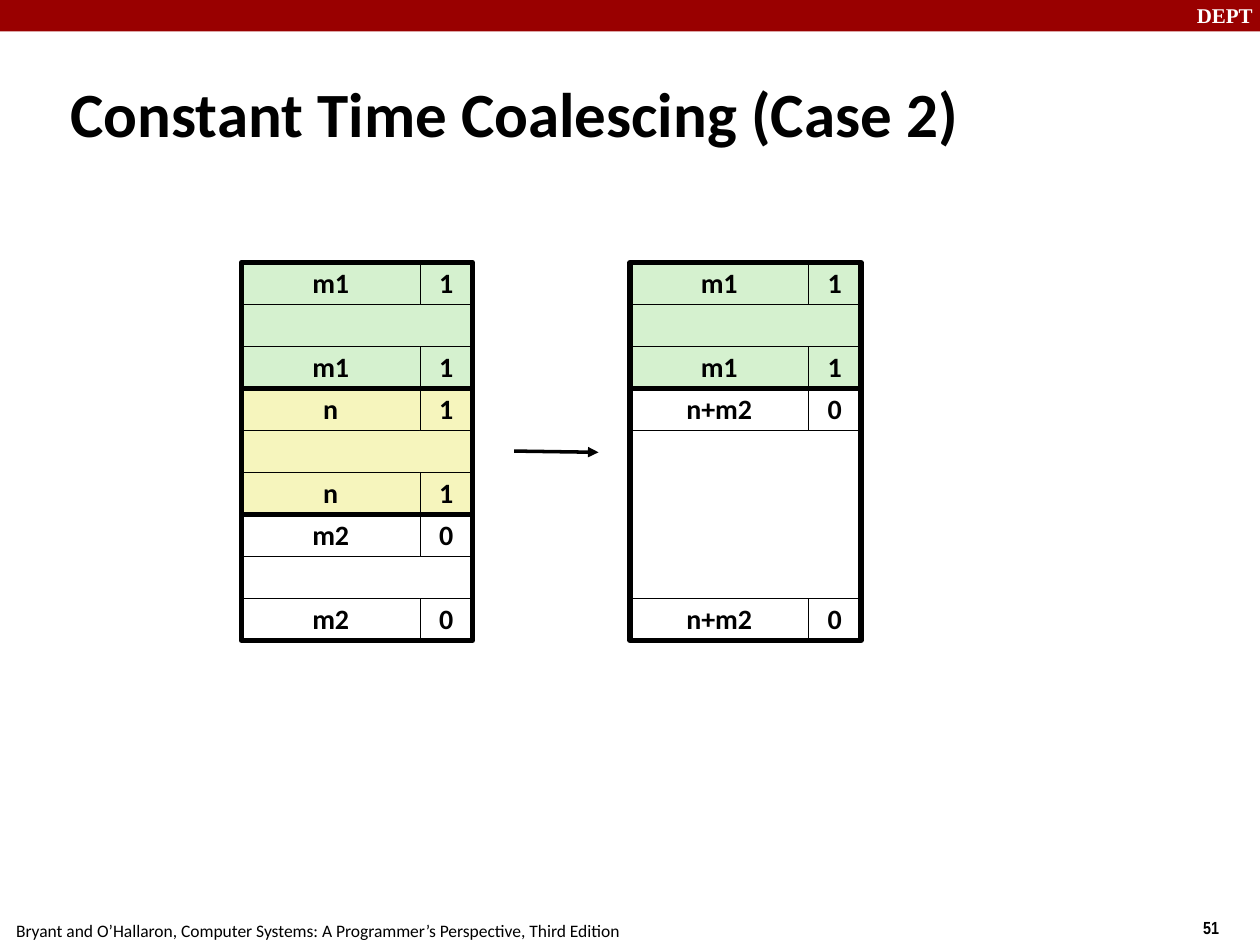
from lxml.etree import SubElement
from pptx import Presentation
from pptx.dml.color import RGBColor
from pptx.enum.shapes import MSO_CONNECTOR, MSO_SHAPE
from pptx.enum.text import MSO_ANCHOR, MSO_AUTO_SIZE, PP_ALIGN
from pptx.oxml.ns import qn
from pptx.util import Inches, Pt

BLACK = RGBColor(0x00, 0x00, 0x00)
WHITE = RGBColor(0xFF, 0xFF, 0xFF)
RED = RGBColor(0x99, 0x00, 0x00)
GREEN = RGBColor(0xD5, 0xF1, 0xCF)
YELLOW = RGBColor(0xF6, 0xF5, 0xBD)

TOP = 25 / 12
ROW = 1 / 3
SIZE_W = 17 / 12
FLAG_W = 5 / 12
HEAP_W = SIZE_W + FLAG_W


def add_run(p, text, size, font="Calibri", color=BLACK, bold=True):
    r = p.add_run()
    r.text = text
    r.font.size = Pt(size)
    r.font.name = font
    r.font.bold = bold
    r.font.color.rgb = color


def add_rect(s, x, y, w, h, fill=None, line=None):
    sp = s.shapes.add_shape(MSO_SHAPE.RECTANGLE, Inches(x), Inches(y), Inches(w), Inches(h))
    sp.shadow.inherit = False
    if fill is None:
        sp.fill.background()
    else:
        sp.fill.solid()
        sp.fill.fore_color.rgb = fill
    if line is None:
        sp.line.fill.background()
    else:
        sp.line.color.rgb = BLACK
        sp.line.width = Pt(line)
    return sp


def add_cell(s, x, y, w, fill, text):
    tf = add_rect(s, x, y, w, ROW, fill, 0.26).text_frame
    tf.word_wrap = False
    tf.vertical_anchor = MSO_ANCHOR.MIDDLE
    p = tf.paragraphs[0]
    p.alignment = PP_ALIGN.CENTER
    p.line_spacing = 0.98
    add_run(p, text, 16)


def add_block(s, x, first_row, rows, fill, size, flag):
    y = TOP + first_row * ROW
    add_rect(s, x, y + ROW, HEAP_W, (rows - 2) * ROW, fill, 0.26)
    for tag_y in (y, y + (rows - 1) * ROW):
        add_cell(s, x, tag_y, SIZE_W, fill, size)
        add_cell(s, x + SIZE_W, tag_y, FLAG_W, fill, flag)
    add_rect(s, x, y, HEAP_W, rows * ROW, line=3)


def add_heap(s, x, blocks):
    first_row = 0
    for rows, fill, size, flag in blocks:
        add_block(s, x, first_row, rows, fill, size, flag)
        first_row += rows


def add_arrow(s, x1, y1, x2, y2):
    c = s.shapes.add_connector(MSO_CONNECTOR.STRAIGHT, Inches(x1), Inches(y1), Inches(x2), Inches(y2))
    c.line.color.rgb = BLACK
    c.line.width = Pt(2)
    SubElement(c.line._get_or_add_ln(), qn("a:tailEnd"), type="triangle")
    SubElement(c._element.spPr, qn("a:effectLst"))


def add_label(s, x, y, w, h, text, size, **font):
    tf = s.shapes.add_textbox(Inches(x), Inches(y), Inches(w), Inches(h)).text_frame
    tf.word_wrap = True
    add_run(tf.paragraphs[0], text, size, **font)


def set_title(s, text):
    sp = s.shapes.title
    sp.left, sp.top, sp.width, sp.height = Inches(0.46), Inches(0.58), Inches(9.08), Inches(0.63)
    tf = sp.text_frame
    tf.auto_size = MSO_AUTO_SIZE.NONE
    tf.vertical_anchor = MSO_ANCHOR.MIDDLE
    p = tf.paragraphs[0]
    p.alignment = PP_ALIGN.LEFT
    add_run(p, text, 36)


def main():
    prs = Presentation()
    prs.slide_width, prs.slide_height = Inches(10), Inches(7.5)
    s = prs.slides.add_slide(prs.slide_layouts[5])

    add_rect(s, 0, 0, 10, 0.25, RED)
    add_label(s, 9.4, -0.03, 0.67, 0.3, "DEPT", 12, font="Times New Roman", color=WHITE)
    add_label(s, 9.45, 7.23, 0.75, 0.29, "51", 10, font="Arial Narrow")
    add_label(s, 0.03, 7.25, 5.1, 0.27,
              "Bryant and O\u2019Hallaron, Computer Systems: A Programmer\u2019s Perspective, Third Edition",
              10, bold=False)
    set_title(s, "Constant Time Coalescing (Case 2)")

    previous = (3, GREEN, "m1", "1")
    add_heap(s, 23 / 12, [previous, (3, YELLOW, "n", "1"), (3, WHITE, "m2", "0")])
    add_heap(s, 5, [previous, (6, WHITE, "n+m2", "0")])
    add_arrow(s, 4.08, 3.58, 4.75, 3.59)

    prs.save("out.pptx")


main()
